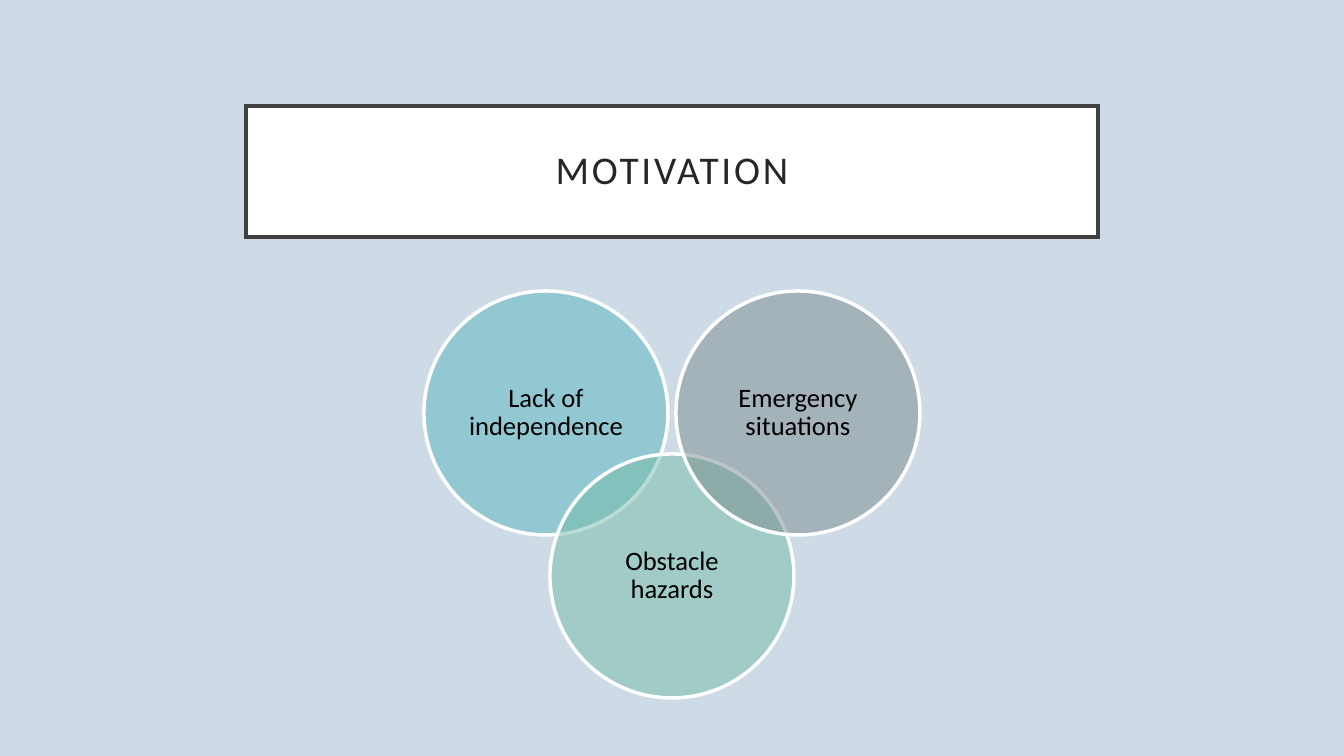
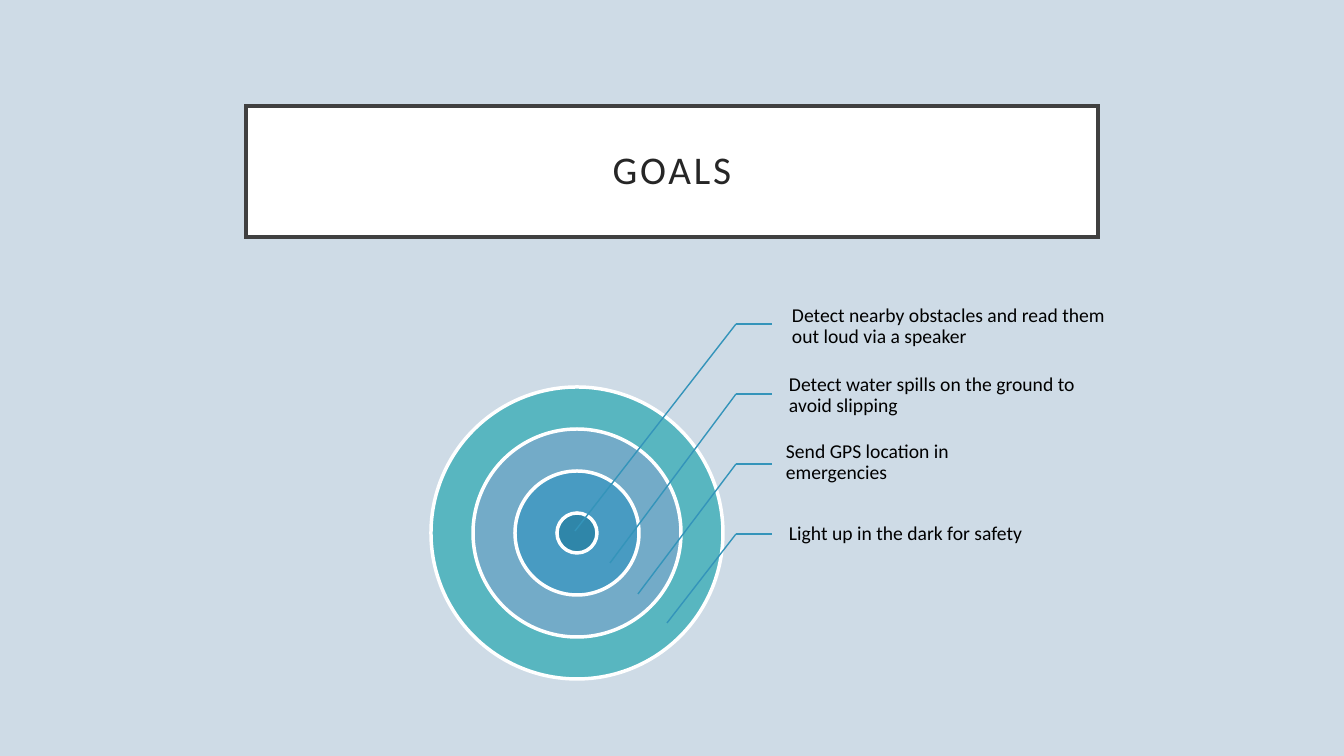
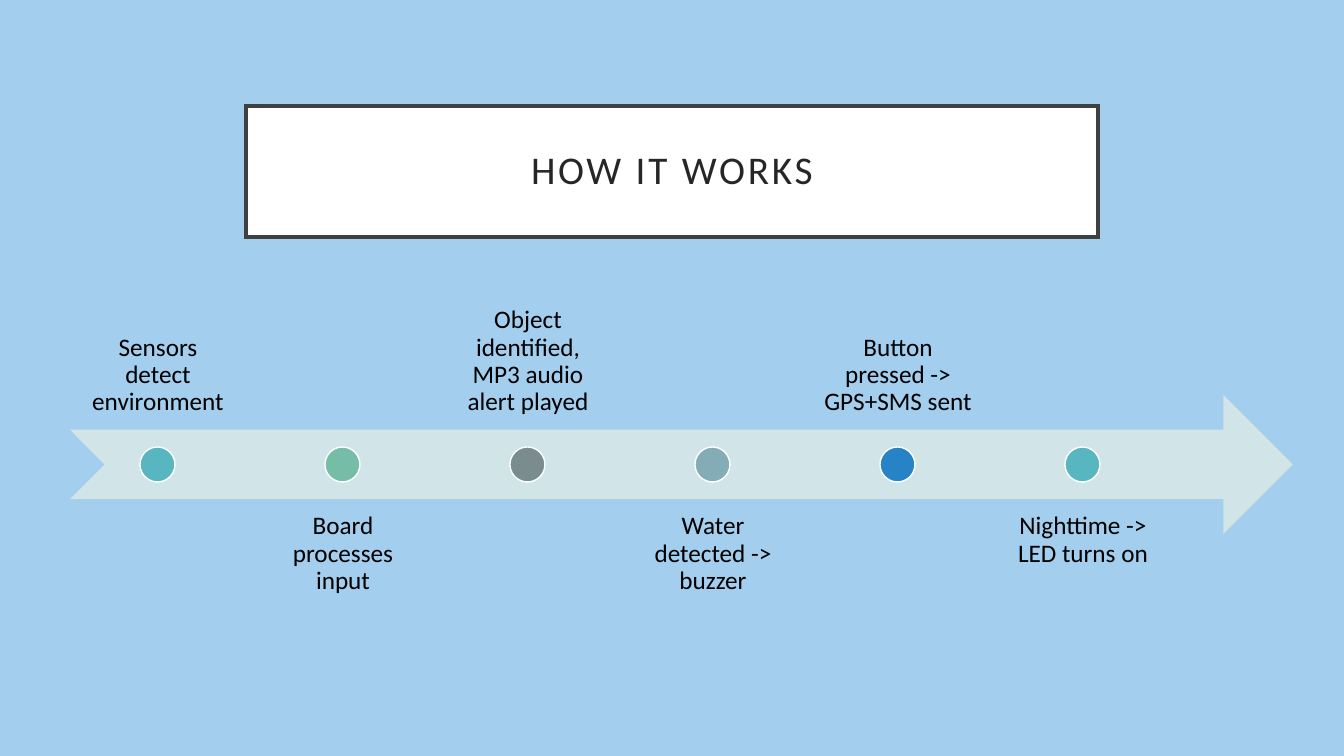
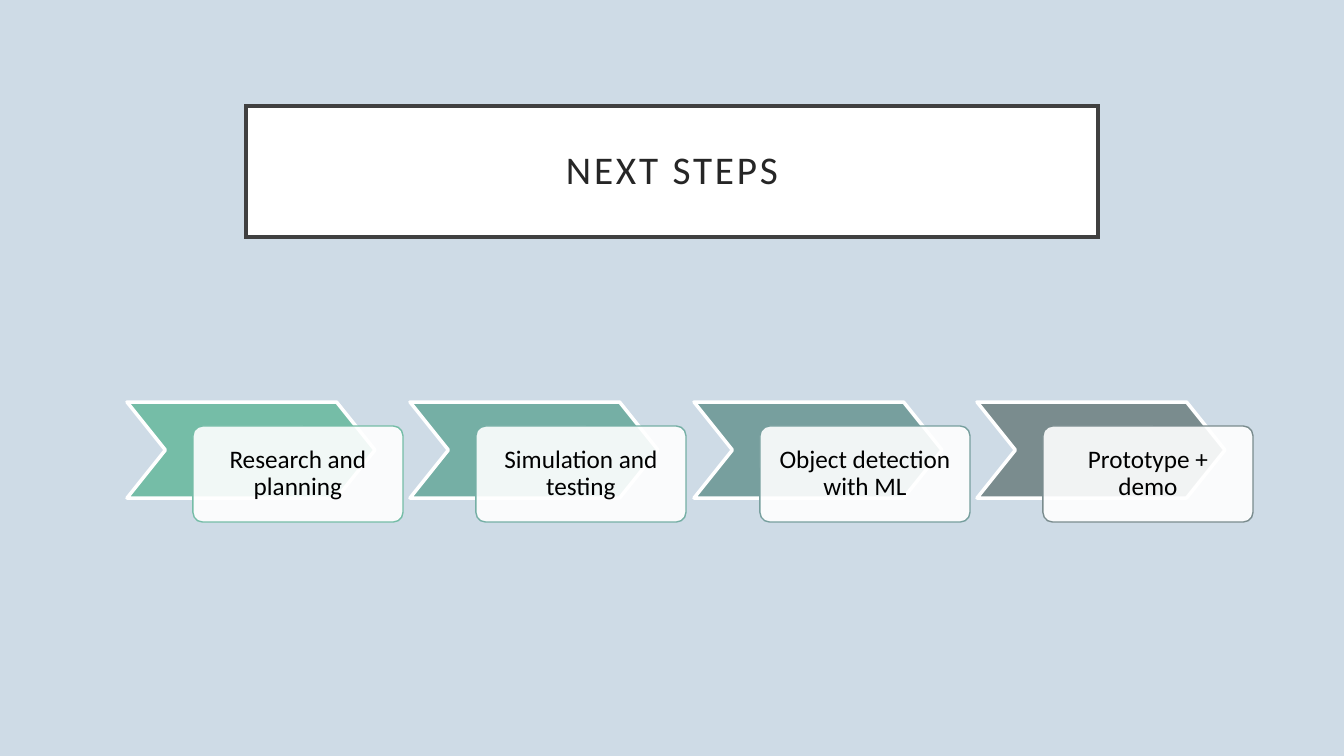
"""Build four slides on an assistive device: motivation, goals, workings and next steps."""
from dataclasses import dataclass

from lxml.etree import SubElement
from pptx import Presentation
from pptx.dml.color import RGBColor
from pptx.enum.shapes import MSO_CONNECTOR, MSO_SHAPE
from pptx.enum.text import MSO_ANCHOR, PP_ALIGN
from pptx.oxml.ns import qn
from pptx.util import Pt

PX = 914400 / 100.8


@dataclass(frozen=True)
class Theme:
    font: str = "Calibri"
    title_size: int = 28
    circle_size: int = 19
    body_size: int = 18
    note_size: int = 14
    thick: float = 2.5
    thin: float = 1
    mist: str = "CEDBE6"
    sky: str = "A3CEED"
    white: str = "FFFFFF"
    black: str = "000000"
    ink: str = "262626"
    frame: str = "404040"
    teal: str = "58B6C0"
    green: str = "75BDA7"
    slate: str = "7A8C8E"
    steel: str = "84ACB6"
    blue: str = "2683C6"
    leader: str = "3494BA"
    arrow: str = "D1E5E8"
    rings: tuple = ("58B6C0", "73ABC8", "489BC2", "2F86A9")
    steps: tuple = ("75BDA7", "75AFA5", "779F9E", "7A8C8E")


T = Theme()


def add_box(s, kind, box, fill, line=None, weight=T.thick, alpha=100):
    sp = s.shapes.add_shape(kind, *[round(v * PX) for v in box])
    sp.shadow.inherit = False
    sp.fill.solid()
    sp.fill.fore_color.rgb = RGBColor.from_string(fill)
    if alpha < 100:
        clr = sp._element.spPr.find(qn("a:solidFill"))[0]
        SubElement(clr, qn("a:alpha")).set("val", str(alpha * 1000))
    if line:
        sp.line.color.rgb = RGBColor.from_string(line)
        sp.line.width = Pt(weight)
    else:
        sp.line.fill.background()
    return sp


def write(sp, text, size, insets, anchor=MSO_ANCHOR.MIDDLE, align=PP_ALIGN.CENTER, color=T.black):
    tf = sp.text_frame
    sides = ("margin_left", "margin_top", "margin_right", "margin_bottom")
    fmt = {side: round(v * PX) for side, v in zip(sides, insets)}
    for name, value in {**fmt, "word_wrap": True, "vertical_anchor": anchor}.items():
        setattr(tf, name, value)
    p = tf.paragraphs[0]
    p.alignment = align
    p.line_spacing = 0.9
    r = p.add_run()
    r.text = text
    for name, value in {"name": T.font, "size": Pt(size)}.items():
        setattr(r.font, name, value)
    r.font.color.rgb = RGBColor.from_string(color)
    return r


prs = Presentation()
prs.slide_width = round(1344 * PX)
prs.slide_height = round(756 * PX)

slides = []
for title, back in (
    ("MOTIVATION", T.mist),
    ("GOALS", T.mist),
    ("HOW IT WORKS", T.sky),
    ("NEXT STEPS", T.mist),
):
    s = prs.slides.add_slide(prs.slide_layouts[6])
    s.background.fill.solid()
    s.background.fill.fore_color.rgb = RGBColor.from_string(back)
    sp = add_box(s, MSO_SHAPE.RECTANGLE, (246, 106, 852, 131), T.white, T.frame)
    SubElement(sp._element.spPr.find(qn("a:ln")), qn("a:miter")).set("lim", "800000")
    r = write(sp, title, T.title_size, (20, 20, 20, 20), color=T.ink)
    r.font._element.set("spc", "200")
    slides.append(s)
motivation, goals, works, steps = slides

for i, (text, top, fill) in enumerate((
    ("Lack of independence", 291, T.teal),
    ("Obstacle hazards", 454, T.green),
    ("Emergency situations", 291, T.slate),
)):
    box = (424 + 126 * i, top, 244, 244)
    sp = add_box(motivation, MSO_SHAPE.OVAL, box, fill, T.white, alpha=50)
    write(sp, text, T.circle_size, (8, 8, 8, 8))

for i, fill in enumerate(T.rings):
    d = 292 - 84 * i
    add_box(goals, MSO_SHAPE.OVAL, (577 - d // 2, 533 - d // 2, d, d), fill, T.white)

for i, (text, box, tip) in enumerate((
    ("Detect nearby obstacles and read them out loud via a speaker", (781, 292, 327, 70), (575, 531)),
    ("Detect water spills on the ground to avoid slipping", (778, 361, 320, 70), (610, 563)),
    ("Send GPS location in emergencies", (775, 428, 269, 70), (638, 594)),
    ("Light up in the dark for safety", (778, 499, 344, 70), (667, 623)),
)):
    sp = goals.shapes.add_textbox(*[round(v * PX) for v in box])
    write(sp, text, T.note_size, (11, 2, 2, 2), align=PP_ALIGN.LEFT)
    y = 324 + 70 * i
    for end in ((772, y), tip):
        ends = [round(v * PX) for v in (736, y, *end)]
        cn = goals.shapes.add_connector(MSO_CONNECTOR.STRAIGHT, *ends)
        cn.line.color.rgb = RGBColor.from_string(T.leader)
        cn.line.width = Pt(T.thin)
        SubElement(cn._element.spPr, qn("a:effectLst"))

add_box(works, MSO_SHAPE.NOTCHED_RIGHT_ARROW, (70, 395, 1223, 139), T.arrow)
for i, (text, fill) in enumerate((
    ("Sensors detect environment", T.teal),
    ("Board processes input", T.green),
    ("Object identified, MP3 audio alert played", T.slate),
    ("Water detected -> buzzer", T.steel),
    ("Button pressed -> GPS+SMS sent", T.blue),
    ("Nighttime -> LED turns on", T.teal),
)):
    x = 185 * i
    top, anchor = ((291, MSO_ANCHOR.BOTTOM), (499, MSO_ANCHOR.TOP))[i % 2]
    sp = works.shapes.add_textbox(*[round(v * PX) for v in (70 + x, top, 176, 139)])
    write(sp, text, T.body_size, (14, 14, 14, 14), anchor)
    add_box(works, MSO_SHAPE.OVAL, (140 + x, 447, 35, 35), fill, T.white, T.thin)

for i, (text, fill) in enumerate(zip((
    "Research and planning",
    "Simulation and testing",
    "Object detection with ML",
    "Prototype + demo",
), T.steps)):
    x = 127 + 567 * i // 2
    sp = add_box(steps, MSO_SHAPE.CHEVRON, (x, 402, 248, 96), fill, T.white)
    sp.adjustments[0] = 0.4
    box = (x + 66, 426, 210, 96)
    sp = add_box(steps, MSO_SHAPE.ROUNDED_RECTANGLE, box, T.white, fill, T.thin, 90)
    sp.adjustments[0] = 0.1
    write(sp, text, T.body_size, (14, 14, 14, 14))

prs.save("out.pptx")
